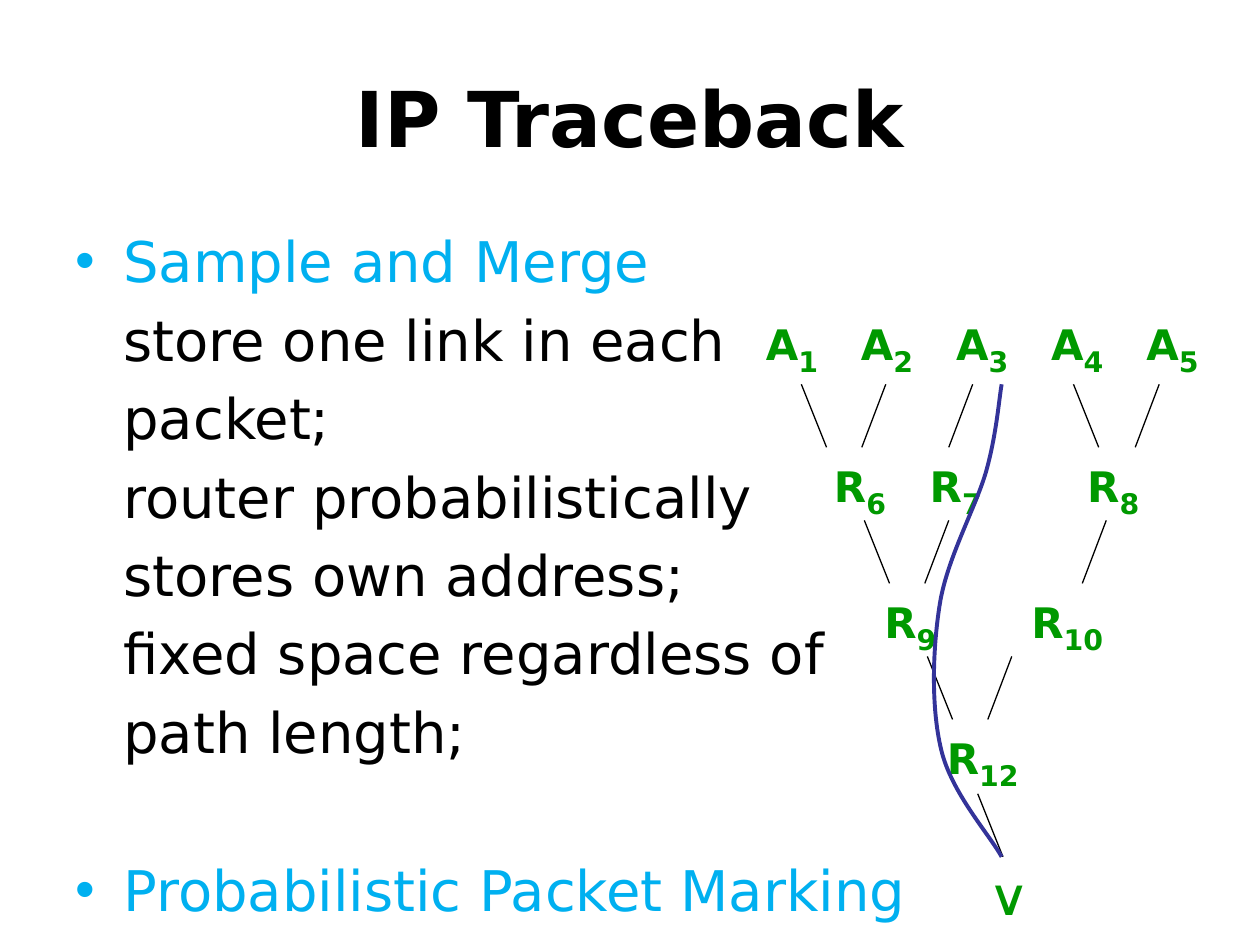
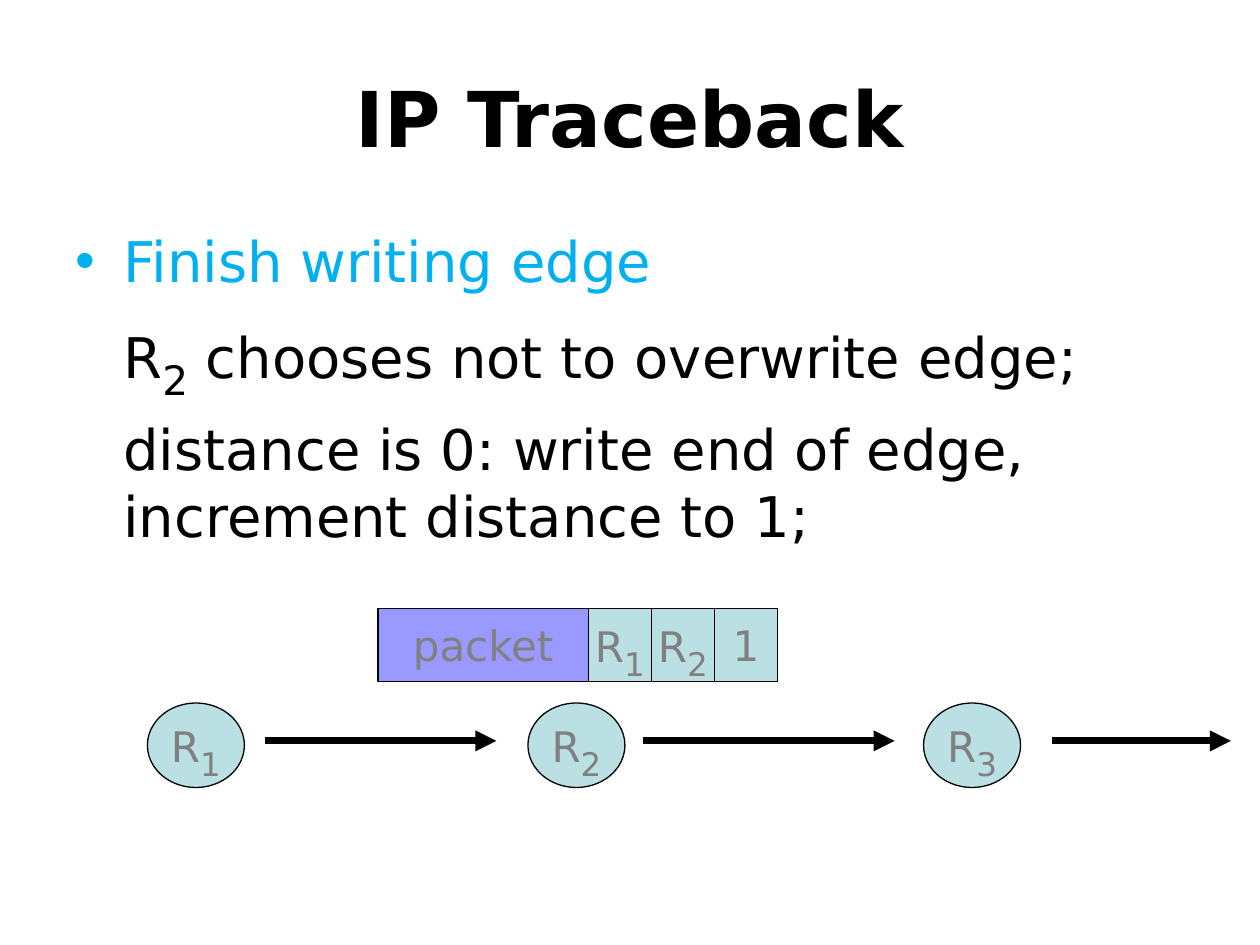
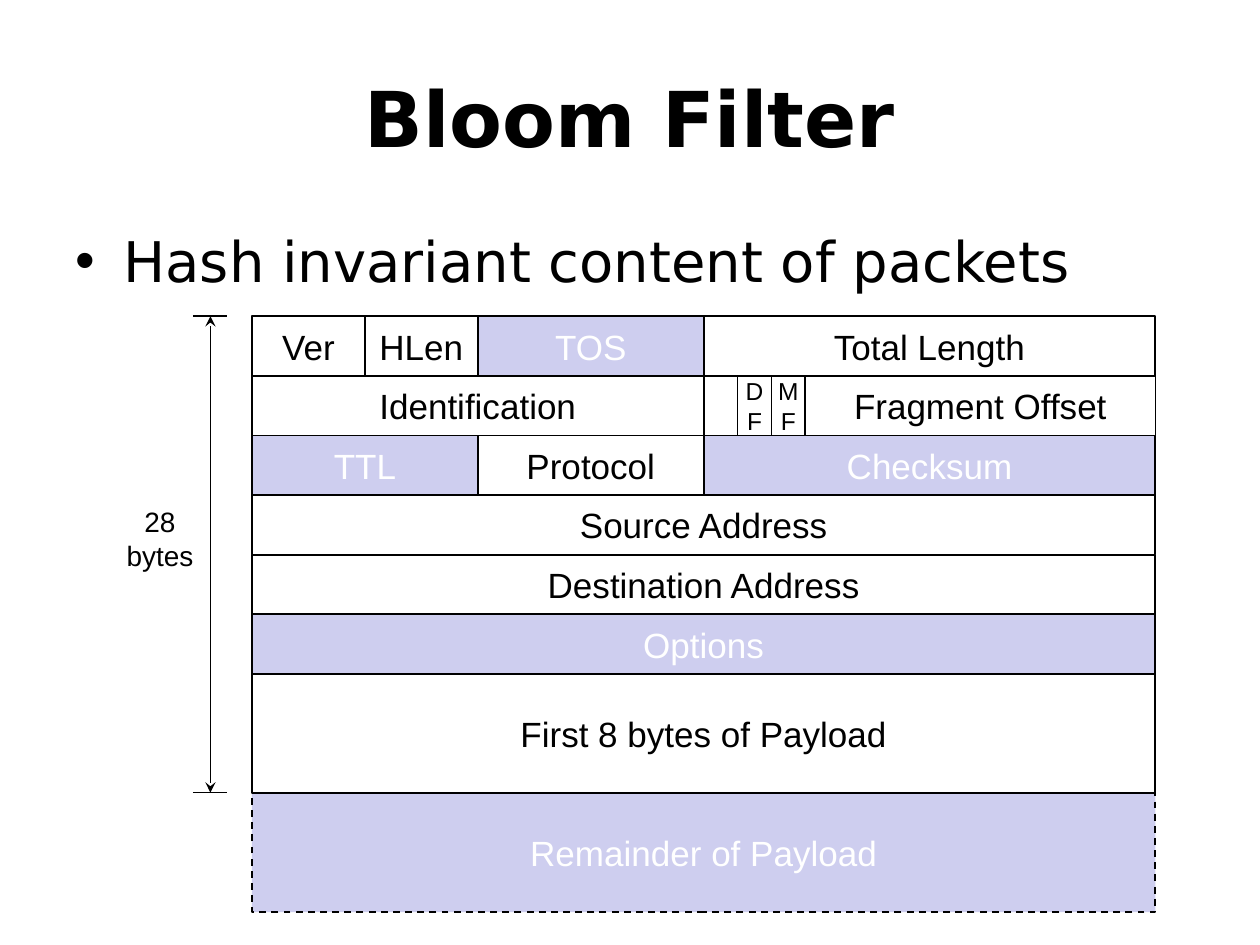
from collections import namedtuple
from dataclasses import dataclass
from itertools import accumulate

from lxml import etree
from pptx import Presentation
from pptx.dml.color import RGBColor
from pptx.enum.dml import MSO_LINE
from pptx.enum.shapes import MSO_CONNECTOR, MSO_SHAPE
from pptx.enum.text import MSO_ANCHOR, MSO_AUTO_SIZE as AUTO, PP_ALIGN
from pptx.oxml.ns import qn
from pptx.util import Inches, Pt

Box = namedtuple("Box", "x y w h")


@dataclass(frozen=True)
class Theme:
    font: str = "DejaVu Sans"
    header_font: str = "Arial"
    victim_font: str = "Cabin"
    black: str = "000000"
    white: str = "FFFFFF"
    heading: str = "00B0F0"
    node: str = "009900"
    route: str = "333399"
    packet: str = "9999FF"
    router: str = "BBE0E3"
    muted: str = "808080"
    masked: str = "CECEEF"
    title_size: int = 44
    body_size: int = 32
    body_sub: int = 40
    label_size: int = 24
    node_sub: int = 28
    router_sub: int = 32
    header_size: int = 20
    flag_size: int = 14
    note_size: int = 16


T = Theme()
TITLE_BOX = Box(0, 0.3, 10, 1.25)
BODY_BOX = Box(0.5, 1.75, 9.5, 5.75)


def rgb(color):
    return RGBColor.from_string(color)


def emu(box):
    return [Inches(v) for v in box]


def add_text(p, text, font=T.font, size=T.label_size, color=T.black,
             bold=False, sub_size=None, align=None):
    p.alignment = align
    for i, piece in enumerate(text.replace("}", "{").split("{")):
        if not piece:
            continue
        r = p.add_run()
        r.text = piece
        f = r.font
        f.name, f.bold = font, bold
        f.size = Pt(sub_size if i % 2 else size)
        f.color.rgb = rgb(color)
        if i % 2:
            r._r.get_or_add_rPr().set("baseline", "-25000")


def add_lines(tf, text, **fmt):
    for i, line in enumerate(text.split("\n")):
        p = tf.add_paragraph() if i else tf.paragraphs[0]
        add_text(p, line, align=PP_ALIGN.CENTER, **fmt)


def add_label(shapes, box, text, wrap=False, anchor=MSO_ANCHOR.TOP, **fmt):
    sp = shapes.add_textbox(*emu(box))
    tf = sp.text_frame
    tf.word_wrap = wrap
    tf.vertical_anchor = anchor
    add_lines(tf, text, **fmt)


def add_box(shapes, box, text="", kind=MSO_SHAPE.RECTANGLE, fill=None,
            width=0.75, dash=None, **fmt):
    sp = shapes.add_shape(kind, *emu(box))
    sp.shadow.inherit = False
    if fill:
        sp.fill.solid()
        sp.fill.fore_color.rgb = rgb(fill)
    else:
        sp.fill.background()
    sp.line.color.rgb = rgb(T.black)
    sp.line.width = Pt(width)
    if dash:
        sp.line.dash_style = dash
    tf = sp.text_frame
    tf.word_wrap = False
    tf.vertical_anchor = MSO_ANCHOR.MIDDLE
    if text:
        add_lines(tf, text, **fmt)


def add_line(shapes, x1, y1, x2, y2, width=0.75, head=None, tail=None):
    cx = shapes.add_connector(MSO_CONNECTOR.STRAIGHT, *emu((x1, y1, x2, y2)))
    cx.line.color.rgb = rgb(T.black)
    cx.line.width = Pt(width)
    ln = cx.line._get_or_add_ln()
    for tag, kind in (("a:headEnd", head), ("a:tailEnd", tail)):
        if kind:
            etree.SubElement(ln, qn(tag)).set("type", kind)
    etree.SubElement(cx._element.spPr, qn("a:effectLst"))


def add_curve(shapes, points, color, width):
    start, *rest = [emu(pt) for pt in points]
    builder = shapes.build_freeform(*start, scale=1.0)
    builder.add_line_segments(rest, close=False)
    sp = builder.convert_to_shape()
    sp.shadow.inherit = False
    sp.fill.background()
    sp.line.color.rgb = rgb(color)
    sp.line.width = Pt(width)
    outline = next(sp._element.iter(qn("a:path")))
    segments = outline.findall(qn("a:lnTo"))
    for i in range(0, len(segments), 3):
        curve = etree.SubElement(outline, qn("a:cubicBezTo"))
        for seg in segments[i:i + 3]:
            curve.append(seg[0])
            outline.remove(seg)


def place(ph, box):
    ph.left, ph.top, ph.width, ph.height = emu(box)
    tf = ph.text_frame
    tf.word_wrap = True
    tf.auto_size = AUTO.NONE
    return tf


def add_slide(prs, title, items, body_box=BODY_BOX):
    s = prs.slides.add_slide(prs.slide_layouts[1])
    tf = place(s.shapes.title, TITLE_BOX)
    tf.vertical_anchor = MSO_ANCHOR.MIDDLE
    add_lines(tf, title, size=T.title_size, bold=True)
    tf = place(s.placeholders[1], body_box)
    for i, (text, bullet, color, gap) in enumerate(items):
        p = tf.add_paragraph() if i else tf.paragraphs[0]
        if not i:
            p.space_before = Pt(0)
        elif gap:
            p.space_before = Pt(gap)
        pPr = p._p.get_or_add_pPr()
        pPr.set("marL", str(Inches(0.38)))
        pPr.set("indent", str(Inches(-0.38 if bullet else 0)))
        if not bullet:
            etree.SubElement(pPr, qn("a:buNone"))
        add_text(p, text, size=T.body_size, color=color, sub_size=T.body_sub)
    return s


def heading(text, color=T.heading, gap=None):
    return text, True, color, gap


def detail(text):
    return text, False, T.black, None


def attack_tree(shapes, box):
    node_w, wide_w, node_h = 0.65, 0.84, 0.51
    levels = [
        (0, [(f"A{{{i + 1}}}", 0.755 * i) for i in range(5)]),
        (1.13, [("R{6}", 0.54), ("R{7}", 1.3), ("R{8}", 2.55)]),
        (2.21, [("R{9}", 0.94), ("R{10}", 2.09)]),
        (3.29, [("R{12}", 1.42)]),
    ]
    right, left = 0.2, -0.19
    links = [
        (0.63, [(0.4, right), (1.07, left), (1.76, left), (2.56, right), (3.24, left)]),
        (1.71, [(0.9, right), (1.57, left), (2.82, left)]),
        (2.79, [(1.4, right), (2.07, left)]),
        (3.88, [(1.8, right)]),
    ]
    route = [
        (1.99, 0.63), (1.97, 0.74), (1.95, 1.02), (1.87, 1.31),
        (1.79, 1.6), (1.56, 2), (1.5, 2.37),
        (1.44, 2.74), (1.43, 3.2), (1.51, 3.53),
        (1.59, 3.87), (1.89, 4.2), (1.99, 4.38),
    ]
    for y, nodes in levels:
        for text, x in nodes:
            w = wide_w if len(text) > 4 else node_w
            add_label(shapes, Box(box.x + x, box.y + y, w, node_h), text,
                      color=T.node, bold=True, sub_size=T.node_sub)
    add_label(shapes, Box(box.x + 1.84, box.y + 4.46, 0.4, 0.5), "V", wrap=True,
              font=T.victim_font, color=T.node, bold=True)
    for y, starts in links:
        for x, dx in starts:
            add_line(shapes, box.x + x, box.y + y, box.x + x + dx, box.y + y + 0.5)
    add_curve(shapes, [(box.x + x, box.y + y) for x, y in route], T.route, 2.25)


def marked_packet(shapes, box):
    fields = shapes.add_group_shape().shapes
    mark_w = 0.5
    packet_w = box.w - 3 * mark_w
    add_box(fields, Box(box.x, box.y, packet_w, box.h), "packet",
            fill=T.packet, color=T.muted)
    for i, text in enumerate(("R{1}", "R{2}", "1")):
        add_box(fields, Box(box.x + packet_w + i * mark_w, box.y, mark_w, box.h),
                text, fill=T.router, color=T.muted, sub_size=T.router_sub)


def router_chain(shapes, box):
    for start, end in ((0.93, 2.77), (3.93, 5.93), (7.18, 8.6)):
        add_line(shapes, box.x + start, box.y + 0.3, box.x + end, box.y + 0.3,
                 width=4, tail="triangle")
    for i, x in enumerate((0, 3.02, 6.16), 1):
        add_box(shapes, Box(box.x + x, box.y, 0.77, box.h), f"R{{{i}}}",
                kind=MSO_SHAPE.OVAL, fill=T.router, color=T.muted,
                sub_size=T.router_sub)


def packet_header(shapes, box):
    rows = [
        (1, [("Ver", 4), ("HLen", 4), ("TOS", 8), ("Total Length", 16)]),
        (1, [("Identification", 16), ("", 1.2), ("D\nF", 1.2), ("M\nF", 1.2),
             ("Fragment Offset", 12.4)]),
        (1, [("TTL", 8), ("Protocol", 8), ("Checksum", 16)]),
        (1, [("Source Address", 32)]),
        (1, [("Destination Address", 32)]),
        (1, [("Options", 32)]),
        (2, [("First 8 bytes of Payload", 32)]),
        (2, [("Remainder of Payload", 32)]),
    ]
    masked = {"TOS", "TTL", "Checksum", "Options", "Remainder of Payload"}
    bit_w = box.w / 32
    tops = list(accumulate((units for units, _ in rows), initial=0))
    row_h = box.h / tops[-1]
    for top, (units, fields) in reversed(list(zip(tops, rows))):
        x = box.x
        for text, bits in fields:
            hidden = text in masked
            add_box(shapes, Box(x, box.y + top * row_h, bits * bit_w, units * row_h),
                    text, fill=T.masked if hidden else None, width=1,
                    dash=MSO_LINE.DASH if text.startswith("Remainder") else None,
                    font=T.header_font, color=T.white if hidden else T.black,
                    size=T.flag_size if "\n" in text else T.header_size)
            x += bits * bit_w


def byte_span(shapes, box):
    bottom, right = box.y + box.h, box.x + box.w
    axis = right - 0.13
    add_line(shapes, axis, box.y, axis, bottom, width=1, head="stealth", tail="stealth")
    add_label(shapes, Box(box.x, box.y + 1.4, axis - box.x, 0.73), "28\nbytes",
              anchor=MSO_ANCHOR.MIDDLE, font=T.header_font, size=T.note_size)
    for y in (box.y, bottom):
        add_line(shapes, right - 0.27, y, right, y, width=1)


def main():
    prs = Presentation()
    prs.slide_width, prs.slide_height = Inches(10), Inches(7.5)

    s = add_slide(prs, "IP Traceback", [
        heading("Sample and Merge"),
        detail("store one link in each"),
        detail("packet;"),
        detail("router probabilistically"),
        detail("stores own address;"),
        detail("fixed space regardless of"),
        detail("path length;"),
        heading("Probabilistic Packet Marking", gap=52),
    ])
    attack_tree(s.shapes, Box(5.96, 2.42, 3.67, 4.96))

    s = add_slide(prs, "IP Traceback", [
        heading("Finish writing edge"),
        detail("R{2} chooses not to overwrite edge;"),
        detail("distance is 0: write end of edge, increment distance to 1;"),
    ], BODY_BOX._replace(w=9.92))
    marked_packet(s.shapes, Box(3, 4.83, 3.17, 0.58))
    router_chain(s.shapes, Box(1.17, 5.58, 8.6, 0.67))

    s = add_slide(prs, "Bloom Filter",
                  [heading("Hash invariant content of packets", T.black)])
    packet_header(s.shapes, Box(2, 2.51, 7.17, 4.73))
    byte_span(s.shapes, Box(0.87, 2.51, 0.93, 3.78))

    prs.save("out.pptx")


if __name__ == "__main__":
    main()
